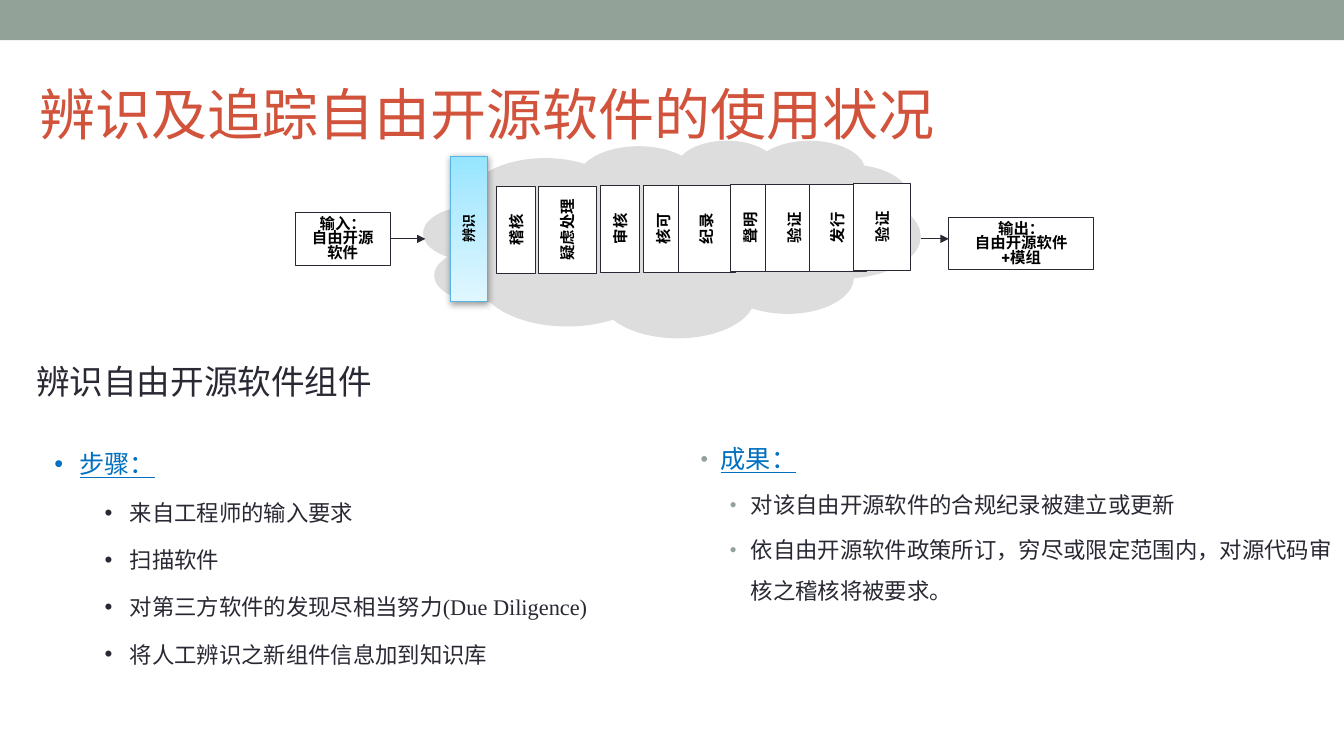
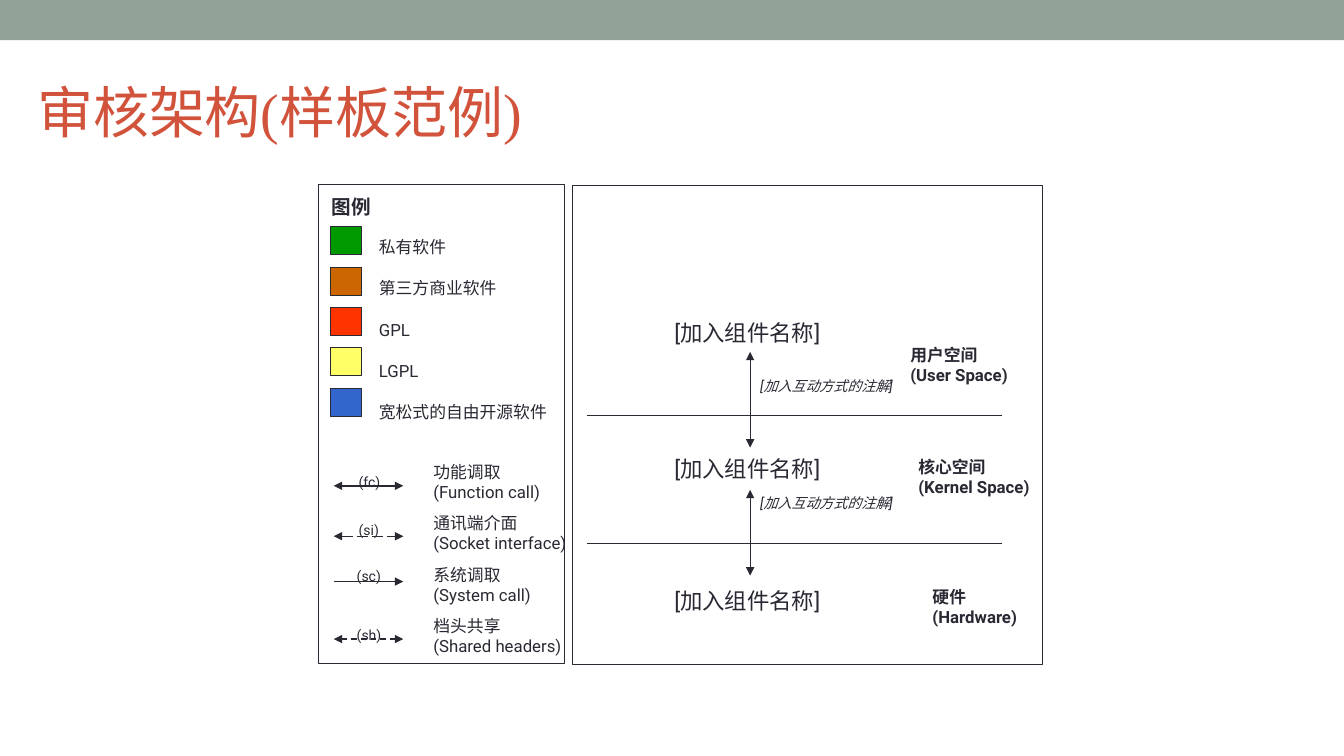
import pptx
import pptx.util
import pptx.dml.color
import pptx.enum.dml
import pptx.enum.shapes
import pptx.enum.text
import pptx.oxml.ns
from lxml import etree

Inches, Pt = pptx.util.Inches, pptx.util.Pt
SHAPE = pptx.enum.shapes.MSO_SHAPE
DASH = pptx.enum.dml.MSO_LINE
ALIGN = pptx.enum.text.PP_ALIGN
ANCHOR = pptx.enum.text.MSO_ANCHOR
qn = pptx.oxml.ns.qn

WIDTH, HEIGHT = 13.33, 7.5
SERIF, SANS = "Times New Roman", "Roboto"
COLORS = {
    "band": "93A299", "title": "D2533C", "ink": "292934", "black": "000000",
    "white": "FFFFFF", "heading": "0070C0", "cloud": "DDDDDD", "current": "55B4E5",
    "private": "009900", "commercial": "CC6600", "gpl": "FF3300",
    "lgpl": "FFFF66", "permissive": "3366CC",
}
CURRENT_STOPS = [(0, "95E5FF"), (35, "B4EBFF"), (100, "E0F7FF")]

# Slide 1: the process and its first step
PROCESS_TITLE = "辨识及追踪自由开源软件的使用状况"
SUBTITLE = "辨识自由开源软件组件"
INPUT = ["输入：", "自由开源软件"]
OUTPUT = ["输出：", "自由开源软件", "+模组"]
CURRENT_STEP = "辨识"
NARROW, WIDE = 0.39, 0.57
STEPS = [  # label, centre, width
    ("稽核", 5.12, NARROW), ("疑虑处理", 5.63, WIDE), ("审核", 6.15, NARROW),
    ("核可", 6.58, NARROW), ("纪录", 7.01, WIDE), ("聲明", 7.44, NARROW),
    ("验证", 7.88, WIDE), ("发行", 8.31, WIDE), ("验证", 8.75, WIDE),
]
LISTS = [
    {"box": (6.85, 4.2, 6.48, 2.52), "heading": "成果：",
     "items": ["对该自由开源软件的合规纪录被建立或更新",
               "依自由开源软件政策所订，穷尽或限定范围内，对源代码审核之稽核将被要求。"],
     "indents": [(0.2, 0.2), (0.5, 0.21)], "before": 3.2,
     "bullets": ["band", "band"], "bullet_size": 85},
    {"box": (0.44, 4.25, 6.02, 2.86), "heading": "步骤：",
     "items": ["来自工程师的输入要求", "扫描软件",
               "对第三方软件的发现尽相当努力(Due Diligence)",
               "将人工辨识之新组件信息加到知识库"],
     "indents": [(0.25, 0.25), (0.75, 0.25)], "before": 5,
     "bullets": ["heading", "ink"], "bullet_size": 100},
]

# Slide 2: the architecture template
ARCHITECTURE_TITLE = "审核架构(样板范例)"
LEGEND = "图例"
LICENSES = [("私有软件", "private"), ("第三方商业软件", "commercial"), ("GPL", "gpl"),
            ("LGPL", "lgpl"), ("宽松式的自由开源软件", "permissive")]
CALLS = [  # label lines, label top, code, code left, code top, line height, dash, both heads
    (["功能调取", "(Function call)"], 4.53, "(fc)", 3.46, 4.65, 4.82, None, True),
    (["通讯端介面", "(Socket interface)"], 5.04, "(si)", 3.46, 5.12, 5.32, DASH.LONG_DASH, True),
    (["系统调取", "(System call)"], 5.55, "(sc)", 3.44, 5.58, 5.77, None, False),
    (["档头共享", "(Shared headers)"], 6.06, "(sh)", 3.44, 6.17, 6.34, DASH.DASH, True),
]
COMPONENT = "[加入组件名称]"
NOTE = "[加入互动方式的注解]"
LAYERS = [  # label lines, label left, label top, component top
    (["用户空间", "(User Space)"], 8.93, 3.37, 3.12),
    (["核心空间", "(Kernel Space)"], 9.01, 4.48, 4.47),
    (["硬件", "(Hardware)"], 9.15, 5.77, 5.78),
]
BORDERS = [4.12, 5.39]
INTERACTIONS = [(3.49, 4.44, 3.7), (4.86, 5.71, 4.86)]  # top, bottom, note top


def rgb(name):
    return pptx.dml.color.RGBColor.from_string(COLORS[name])


def node(parent, tag, **attrs):
    return etree.SubElement(parent, qn(tag), {k: str(v) for k, v in attrs.items()})


def set_font(r, name=SANS, size=12, color="ink", **styles):
    formats = {"name": name, "size": Pt(size), **styles}
    for key, value in formats.items():
        setattr(r.font, key, value)
    r.font.color.rgb = rgb(color)


def write(sp, lines, align=ALIGN.LEFT, anchor=ANCHOR.TOP, spacing=None, wrap=True, **font):
    tf = sp.text_frame
    tf.word_wrap = wrap
    tf.vertical_anchor = anchor
    for i, line in enumerate(lines):
        p = tf.paragraphs[0] if i == 0 else tf.add_paragraph()
        p.alignment = align
        if spacing:
            p.line_spacing = spacing
        r = p.add_run()
        r.text = line
        set_font(r, **font)


def add_text(s, box, lines, **options):
    sp = s.shapes.add_textbox(*map(Inches, box))
    write(sp, lines, **options)
    return sp


def add_box(s, box, fill=None, line=None, width=0.75, kind=SHAPE.RECTANGLE):
    sp = s.shapes.add_shape(kind, *map(Inches, box))
    sp.shadow.inherit = False
    if fill:
        sp.fill.solid()
        sp.fill.fore_color.rgb = rgb(fill)
    else:
        sp.fill.background()
    if line:
        sp.line.color.rgb = rgb(line)
        sp.line.width = Pt(width)
    else:
        sp.line.fill.background()
    return sp


def add_line(s, start, end, width=0.75, dash=None, heads=()):
    """heads holds headEnd (at start) and tailEnd (at end), in that order."""
    c = s.shapes.add_connector(pptx.enum.shapes.MSO_CONNECTOR.STRAIGHT,
                               *map(Inches, (*start, *end)))
    c.line.color.rgb = rgb("ink")
    c.line.width = Pt(width)
    if dash:
        c.line.dash_style = dash
    ln = c.line._get_or_add_ln()
    for head in heads:
        node(ln, "a:" + head, type="triangle")
    node(c._element.spPr, "a:effectLst")
    return c


BOTH = ("headEnd", "tailEnd")


def new_slide(prs, title, left, top):
    s = prs.slides.add_slide(prs.slide_layouts[6])
    add_box(s, (0, 0, WIDTH, 0.4), "band")
    add_text(s, (left, top, 12, 1.08), [title], anchor=ANCHOR.MIDDLE,
             name=SERIF, size=40, color="title")
    return s


def add_list(s, data):
    lines = [data["heading"], *data["items"]]
    sp = add_text(s, data["box"], lines, spacing=1.5, name=SERIF, size=16)
    for i, p in enumerate(sp.text_frame.paragraphs):
        level = min(i, 1)
        if level:
            p.level = 1
            p.space_before = Pt(data["before"])
        else:
            set_font(p.runs[0], SERIF, 18, "heading", underline=True)
        left, hanging = data["indents"][level]
        pPr = p._p.get_or_add_pPr()
        pPr.set("marL", str(Inches(left)))
        pPr.set("indent", str(-Inches(hanging)))
        node(node(pPr, "a:buClr"), "a:srgbClr", val=COLORS[data["bullets"][level]])
        node(pPr, "a:buSzPct", val=data["bullet_size"] * 1000)
        node(pPr, "a:buFont", typeface="Arial")
        node(pPr, "a:buChar", char="•")


def add_current_step(s):
    sp = add_box(s, (4.47, 1.55, 0.37, 1.44), line="current")
    sp.fill.gradient()
    sp.fill.gradient_angle = 270
    spPr = sp._element.spPr
    stops = spPr.find(".//" + qn("a:gsLst"))
    for old in list(stops):
        stops.remove(old)
    for share, color in CURRENT_STOPS:
        node(node(stops, "a:gs", pos=share * 1000), "a:srgbClr", val=color)
    shadow = node(spPr.find(qn("a:effectLst")), "a:outerShdw", blurRad=Pt(5),
                  dist=Pt(1.6), dir=5400000, rotWithShape=0)
    node(node(shadow, "a:srgbClr", val=COLORS["black"]), "a:alpha", val=38000)
    label = add_text(s, (3.93, 2.08, 1.44, 0.37), [CURRENT_STEP], align=ALIGN.CENTER,
                     anchor=ANCHOR.MIDDLE, size=10, color="black", bold=True)
    label.rotation = 270


def build_process(prs):
    s = new_slide(prs, PROCESS_TITLE, 0.29, 0.58)
    cloud = add_box(s, (4.2, 1.39, 4.93, 1.96), "cloud", kind=SHAPE.CLOUD_CALLOUT)
    cloud.adjustments[0], cloud.adjustments[1] = -0.246, 0.157
    label = {"align": ALIGN.CENTER, "size": 11, "color": "black", "bold": True}
    ends = []
    for box, lines in [((2.93, 2.11, 0.94, 0.52), INPUT), ((9.41, 2.16, 1.44, 0.51), OUTPUT)]:
        sp = add_box(s, box, "white", "ink")
        write(sp, lines, spacing=Pt(10.5), **label)
        ends.append(sp)
    arrow = add_line(s, (3.87, 2.37), (4.22, 2.37), heads=["tailEnd"])
    arrow.begin_connect(ends[0], 3)
    add_line(s, (9.13, 2.37), (9.41, 2.37), heads=["tailEnd"])
    add_current_step(s)
    length = 0.86
    for i, (text, center, width) in enumerate(STEPS):
        middle = 2.28 - 0.01 * ((i + 1) // 3)
        sp = add_box(s, (center - length / 2, middle - width / 2, length, width),
                     "white", "ink")
        sp.rotation = 270
        write(sp, [text], anchor=ANCHOR.MIDDLE, **label)
    add_text(s, (0.26, 3.53, 4.24, 0.91), [SUBTITLE], name=SERIF, size=24)
    for data in LISTS:
        add_list(s, data)


def build_architecture(prs):
    s = new_slide(prs, ARCHITECTURE_TITLE, 0.27, 0.56)
    add_box(s, (3.16, 1.83, 2.44, 4.75), line="ink", width=1)
    add_box(s, (5.68, 1.84, 4.66, 4.75), line="ink", width=1)
    add_text(s, (3.19, 1.88, 0.86, 0.34), [LEGEND], size=14, bold=True)
    for i, (text, color) in enumerate(LICENSES):
        add_box(s, (3.28, 2.25 + 0.4 * i, 0.31, 0.28), color, "ink")
        add_text(s, (3.66, 2.3 + 0.41 * i, 1.91, 0.3), [text])
    for lines, top, code, code_left, code_top, y, dash, both in CALLS:
        add_line(s, (3.31, y), (4, y), 1, dash, BOTH if both else BOTH[1:])
        add_text(s, (4.2, top, 1.68, 0.3), lines)
        add_text(s, (code_left, code_top, 0.44, 0.27), [code], wrap=False, size=10)
    for y in BORDERS:
        add_line(s, (5.82, y), (9.94, y), 1)
    for lines, left, top, component_top in LAYERS:
        add_text(s, (left, top, 1.38, 0.3), lines, bold=True)
        add_text(s, (6.59, component_top, 1.72, 0.37), [COMPONENT], size=16)
    for top, bottom, note_top in INTERACTIONS:
        add_line(s, (7.44, top), (7.44, bottom), heads=BOTH)
        add_text(s, (7.44, note_top, 1.81, 0.27), [NOTE], size=10, italic=True)


def main():
    prs = pptx.Presentation()
    prs.slide_width, prs.slide_height = Inches(WIDTH), Inches(HEIGHT)
    build_process(prs)
    build_architecture(prs)
    prs.save("out.pptx")


if __name__ == "__main__":
    main()
